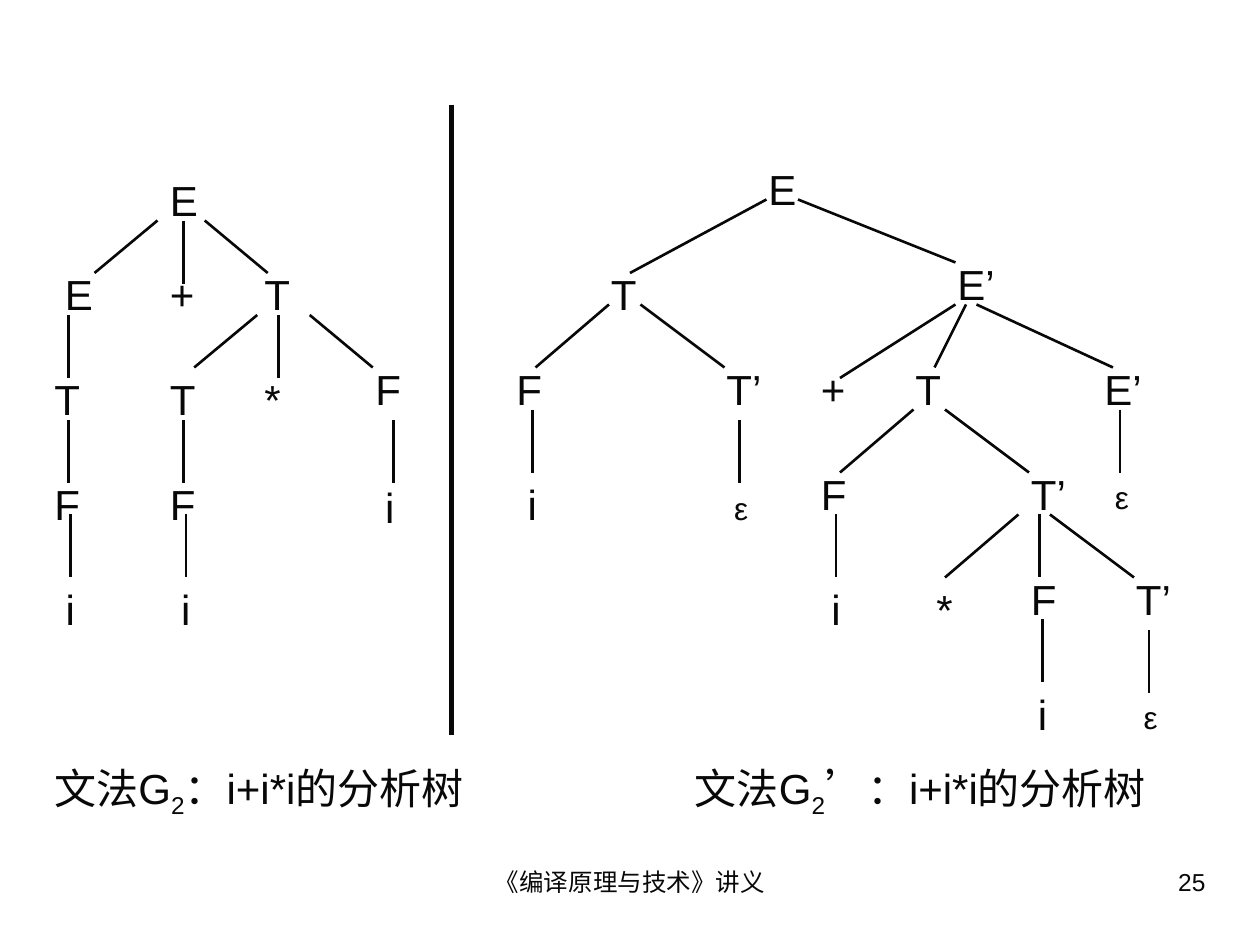
from lxml import etree
from pptx import Presentation
from pptx.dml.color import RGBColor
from pptx.enum.shapes import MSO_CONNECTOR
from pptx.enum.text import MSO_AUTO_SIZE, PP_ALIGN
from pptx.oxml.ns import qn
from pptx.util import Pt

LINE = MSO_CONNECTOR.STRAIGHT
GROW, FIXED = MSO_AUTO_SIZE.SHAPE_TO_FIT_TEXT, MSO_AUTO_SIZE.NONE
LEFT, CENTER, RIGHT = PP_ALIGN.LEFT, PP_ALIGN.CENTER, PP_ALIGN.RIGHT
INK = "080808"
FONT = "Arial"
STEM = 36  # length of every upright branch

# Inner nodes: text, left, top
WIDE = [
    ("E", 90, 96), ("E", 30, 150), ("+", 90, 150), ("T", 144, 150),
    ("*", 144, 210),
    ("E", 432, 90), ("T", 342, 150), ("E’", 540, 144),
    ("F", 288, 204), ("T’", 408, 204), ("+", 462, 204), ("T", 516, 204),
    ("E’", 624, 204), ("F", 462, 264), ("T’", 582, 264),
    ("*", 528, 330), ("F", 582, 324), ("T’", 642, 324),
]
SLIM = [
    ("T", 24, 210), ("T", 90, 210), ("F", 207.5, 204),
    ("F", 24, 270), ("F", 90, 270),
]

# Leaves whose branch ends on the top of their box: left, top
LEAVES = [(30.5, 330), (96.5, 330), (294.5, 270), (468, 330), (586, 390)]
EMPTY = [(412.5, 276), (630, 269.5), (646.5, 395.5)]

# Upright branches: x, top
STEMS = [
    (105, 126), (39, 180), (159, 180), (39, 240), (105, 240), (225, 240),
    (422.5, 240), (640, 234), (594, 294), (656.5, 360),
]

# Slanted branches: parent x, y, child x, y
SLANTS = [
    (90, 126, 54, 156), (117, 126, 153, 156),
    (147, 180, 111, 210), (177, 180, 213, 210),
    (438, 114, 360, 156), (456, 114, 546, 150),
    (348, 174, 306, 210), (366, 174, 414, 210),
    (546, 174, 480, 216), (552, 174, 534, 210), (558, 174, 636, 210),
    (522, 234, 480, 270), (540, 234, 588, 270),
    (582, 294, 540, 330), (600, 294, 648, 330),
]


def color(code):
    return RGBColor.from_string(code)


def add_text(slide, text, x, y, w, h, size=24, align=LEFT, wrap=True,
             fit=GROW):
    """Add a text box; text is a string or a list of (string, baseline)."""
    box = slide.shapes.add_textbox(Pt(x), Pt(y), Pt(w), Pt(h))
    frame = box.text_frame
    frame.word_wrap = wrap
    frame.auto_size = fit
    para = frame.paragraphs[0]
    para.alignment = align
    parts = [(text, 0)] if isinstance(text, str) else text
    for word, base in parts:
        run = para.add_run()
        run.text = word
        run.font.name = FONT
        run.font.size = Pt(size)
        run.font.color.rgb = color(INK)
        if base:
            run.font._element.set("baseline", str(base * 1000))
    return box


def add_line(slide, x1, y1, x2, y2, width=1.5):
    line = slide.shapes.add_connector(LINE, Pt(x1), Pt(y1), Pt(x2), Pt(y2))
    line.line.color.rgb = color(INK)
    line.line.width = Pt(width)
    etree.SubElement(line._element.spPr, qn("a:effectLst"))
    return line


def add_leaf(slide, x, y):
    """Add a leaf i with the branch that ends on its top side."""
    wide = 19.5
    box = add_text(slide, "i", x, y, wide, 36, wrap=False)
    mid = x + wide / 2
    add_line(slide, mid, y - STEM, mid, y).end_connect(box, 0)


def add_title(slide, mark, x):
    parts = [("文法G", 0), ("2", -25), (mark + "：i+i*i的分析树", 0)]
    add_text(slide, parts, x, 432, 276, 40)


def main():
    deck = Presentation()
    deck.slide_width, deck.slide_height = Pt(720), Pt(540)
    slide = deck.slides.add_slide(deck.slide_layouts[6])

    # Footer
    add_text(slide, "《编译原理与技术》讲义", 246, 492, 228, 37.5,
             size=14, align=CENTER, fit=FIXED)
    add_text(slide, "25", 516, 492, 180, 37.5,
             size=14, align=RIGHT, fit=FIXED)

    # Nodes of both trees
    for width, nodes in ((48, WIDE), (42, SLIM)):
        for text, x, y in nodes:
            add_text(slide, text, x, y, width, 36)

    # Leaves
    for x, y in LEAVES:
        add_leaf(slide, x, y)
    add_text(slide, "i", 213, 271.5, 19.5, 36, wrap=False)
    for x, y in EMPTY:
        add_text(slide, "ε", x, y, 22.5, 29, size=18, wrap=False)

    # Branches
    for x, y in STEMS:
        add_line(slide, x, y, x, y + STEM)
    for ends in SLANTS:
        add_line(slide, *ends)

    # Captions and the divider
    add_title(slide, "", 24)
    add_title(slide, "’", 390)
    add_line(slide, 258, 60, 258, 420, width=3)

    deck.save("out.pptx")


if __name__ == "__main__":
    main()
